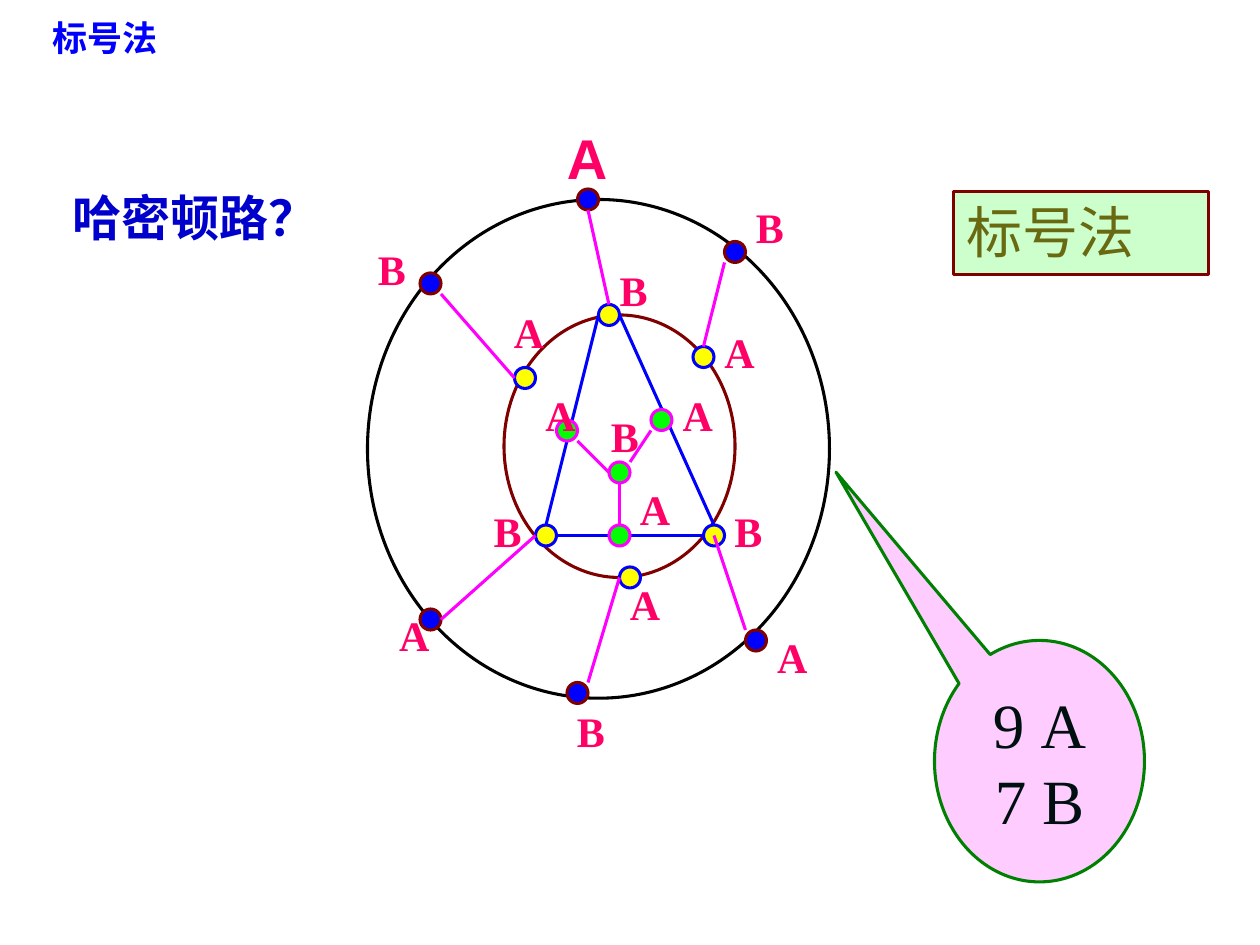
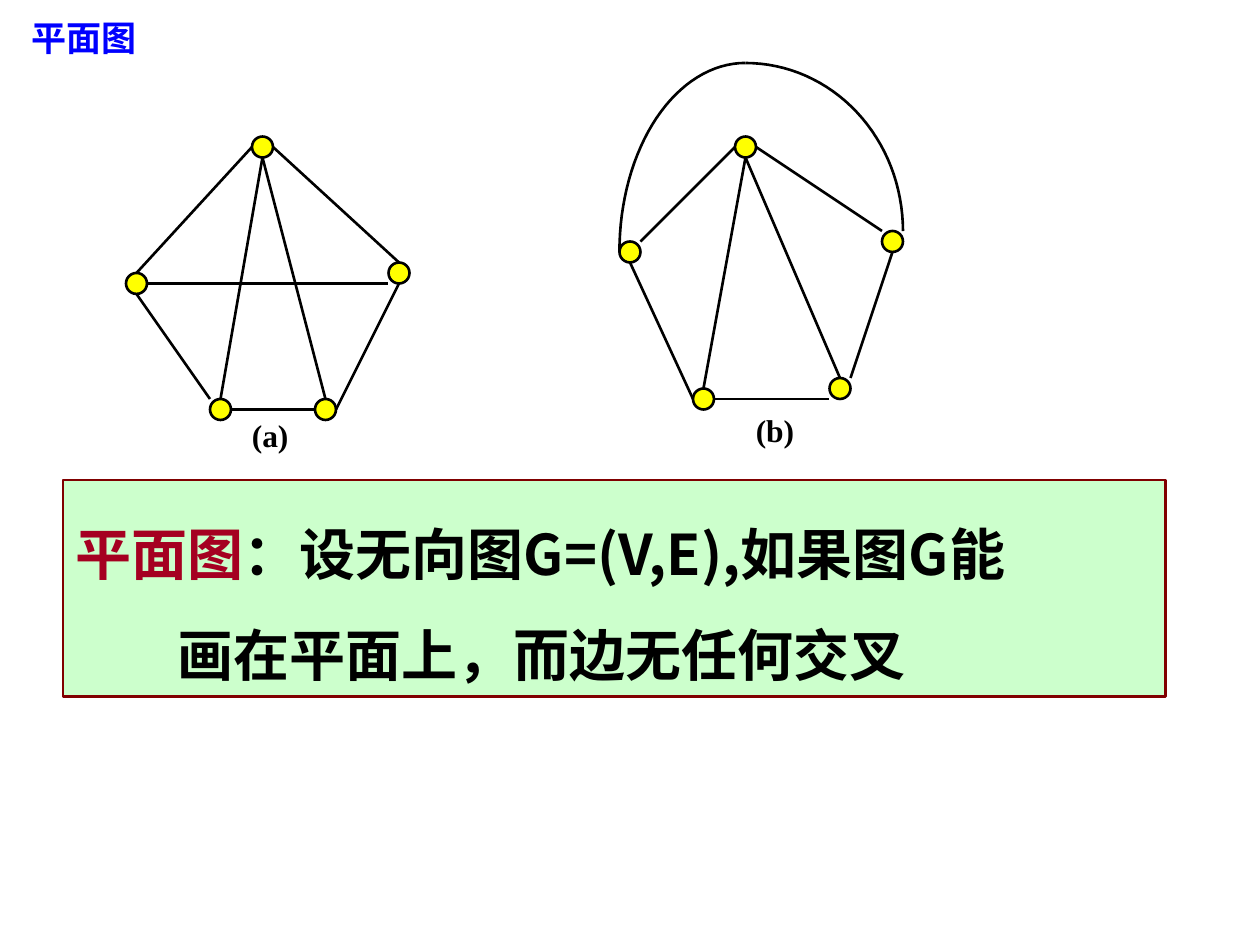
"""Build two slides on graph labelling and planar graphs."""
from dataclasses import dataclass
from math import cos, pi, sin

from lxml.etree import SubElement
from pptx import Presentation
from pptx.dml.color import RGBColor
from pptx.enum.shapes import MSO_CONNECTOR, MSO_SHAPE
from pptx.enum.text import MSO_ANCHOR, MSO_AUTO_SIZE, PP_ALIGN
from pptx.oxml.ns import qn
from pptx.util import Inches, Pt


@dataclass(frozen=True)
class Theme:
    black: str = "000000"
    blue: str = "0000FF"
    question: str = "0000CC"
    maroon: str = "800000"
    yellow: str = "FFFF00"
    green: str = "00FF00"
    magenta: str = "FF00FF"
    label: str = "FF0066"
    panel: str = "CCFFCC"
    olive: str = "696911"
    term: str = "A50021"
    callout: str = "FFCCFF"
    callout_line: str = "008000"
    callout_text: str = "001010"
    sans: str = "Arial"
    serif: str = "Times New Roman"
    chinese: str = "Noto Sans CJK SC"
    caption_size: int = 18
    title_size: int = 20
    label_size: int = 24
    question_size: int = 28
    heading_size: int = 32
    count_size: int = 36
    bold_line: float = 1.75
    thin_line: float = 1.5


THEME = Theme()
GRID = 1 / 12


def grid(*steps):
    return [Inches(step * GRID) for step in steps]


def set_values(target, values):
    for name, value in values.items():
        setattr(target, name, value)


def color(value):
    return RGBColor.from_string(value)


def style(size, name, tint, bold=True):
    return {"size": size, "name": name, "tint": tint, "bold": bold}


def add_span(para, text, look):
    span = para.add_run()
    span.text = text
    set_values(span.font, {"size": Pt(look["size"]), "name": look["name"], "bold": look["bold"]})
    span.font.color.rgb = color(look["tint"])
    SubElement(span._r.get_or_add_rPr(), qn("a:ea")).set("typeface", THEME.chinese)


def fill_text(box, lines, wrap=True, grow=True, **para_values):
    """Write each line, a list of (text, style) spans, as a paragraph."""
    frame = box.text_frame
    fit = MSO_AUTO_SIZE.SHAPE_TO_FIT_TEXT if grow else MSO_AUTO_SIZE.NONE
    set_values(frame, {"word_wrap": wrap, "auto_size": fit})
    for index, spans in enumerate(lines):
        para = frame.add_paragraph() if index else frame.paragraphs[0]
        set_values(para, para_values)
        for text, look in spans:
            add_span(para, text, look)
    return frame


def add_text(shapes, place, text, look, wrap=True):
    box = shapes.add_textbox(*map(Inches, place))
    fill_text(box, [[(text, look)]], wrap)


def paint(shape, fill, line, width):
    shape.shadow.inherit = False
    if fill:
        shape.fill.solid()
        shape.fill.fore_color.rgb = color(fill)
    else:
        shape.fill.background()
    shape.line.color.rgb = color(line)
    shape.line.width = Pt(width)
    return shape


def add_ring(shapes, place, line):
    ring = shapes.add_shape(MSO_SHAPE.OVAL, *grid(*place))
    paint(ring, None, line, THEME.bold_line)


def add_nodes(shapes, centers, fill, line, width):
    for x, y in centers:
        paint(shapes.add_shape(MSO_SHAPE.OVAL, *grid(x - 1, y - 1, 2, 2)), fill, line, width)


def add_edges(shapes, edges, line, width):
    for ends in edges:
        edge = shapes.add_connector(MSO_CONNECTOR.STRAIGHT, *grid(*ends))
        edge.line.color.rgb = color(line)
        edge.line.width = Pt(width)
        SubElement(edge._element.spPr, qn("a:effectLst"))


def add_quarter_arc(shapes, x, y, reach, rise):
    """Draw a quarter ellipse from above the centre to its side."""
    steps = 32
    angles = [pi / 2 * step / steps for step in range(steps + 1)]
    points = [tuple(grid(x + reach * sin(angle), y - rise * cos(angle))) for angle in angles]
    builder = shapes.build_freeform(*points[0])
    builder.add_line_segments(points[1:], close=False)
    paint(builder.convert_to_shape(), None, THEME.black, THEME.thin_line)


def add_panel(page, place, lines, width, **para_values):
    panel = page.shapes.add_shape(MSO_SHAPE.RECTANGLE, *map(Inches, place))
    paint(panel, THEME.panel, THEME.maroon, width)
    frame = fill_text(panel, lines, alignment=PP_ALIGN.LEFT, **para_values)
    frame.vertical_anchor = MSO_ANCHOR.TOP
    return frame


def add_count_callout(page):
    callout = page.shapes.add_shape(MSO_SHAPE.OVAL_CALLOUT, *grid(89, 61, 20, 23))
    callout.adjustments[0], callout.adjustments[1] = -0.969, -1.197
    paint(callout, THEME.callout, THEME.callout_line, THEME.bold_line)
    look = style(THEME.count_size, THEME.serif, THEME.callout_text, False)
    lines = [[("A", look)], [("7 B", look)]]
    frame = fill_text(callout, lines, grow=False, alignment=PP_ALIGN.CENTER)
    frame.vertical_anchor = MSO_ANCHOR.MIDDLE
    for para in frame.paragraphs:
        set_indents(para, {"marL": Inches(0.38), "indent": Inches(-0.38)})
    number = SubElement(frame.paragraphs[0]._p.get_or_add_pPr(), qn("a:buAutoNum"))
    number.set("type", "arabicPlain")
    number.set("startAt", "9")


def set_indents(para, values):
    for name, value in values.items():
        para._p.get_or_add_pPr().set(name, str(int(value)))


def add_page(deck, title, left):
    page = deck.slides.add_slide(deck.slide_layouts[6])
    look = style(THEME.title_size, THEME.chinese, THEME.blue)
    add_text(page.shapes, (left, 0.08, 2.68, 0.43), title, look)
    return page


def build_labelling(deck):
    page = add_page(deck, "标号法", 0.32)
    shapes = page.shapes
    width = THEME.bold_line
    outer = [(56, 19), (41, 27), (70, 24), (41, 59), (55, 66), (72, 61)]
    inner = [(58, 30), (50, 36), (67, 34), (52, 51), (60, 55), (68, 51)]
    core = [(59, 51), (54, 41), (63, 40), (59, 45)]
    triangle = [(57, 30, 52, 50), (59, 30, 68, 50), (53, 51, 67, 51)]
    spokes = [(55, 42, 58, 45), (60, 44, 62, 41), (59, 46, 59, 50),
              (42, 28, 49, 36), (56, 20, 58, 29), (67, 33, 69, 25),
              (42, 59, 51, 51), (56, 65, 59, 55), (71, 60, 68, 51)]
    add_ring(shapes, (35, 19, 44, 47.5), THEME.black)
    add_nodes(shapes, outer, THEME.blue, THEME.maroon, width)
    add_ring(shapes, (48, 30, 22, 25), THEME.maroon)
    add_nodes(shapes, inner, THEME.yellow, THEME.blue, width)
    add_edges(shapes, triangle, THEME.blue, width)
    add_nodes(shapes, core, THEME.green, THEME.magenta, width)
    add_edges(shapes, spokes, THEME.magenta, width)

    question = style(THEME.question_size, THEME.sans, THEME.question)
    add_text(shapes, (0.48, 1.44, 2.93, 0.57), "哈密顿路？", question)
    start = style(THEME.heading_size, THEME.sans, THEME.label)
    add_text(shapes, (4.4, 0.93, 0.52, 0.63), "A", start, wrap=False)
    labels = {
        "A": (0.44, [(3.07, 4.79), (3.98, 2.38), (5.65, 2.54), (6.07, 4.96),
                     (4.9, 4.54), (4.23, 3.04), (4.98, 3.79), (5.32, 3.04)]),
        "B": (0.42, [(2.9, 1.88), (5.9, 1.55), (4.82, 2.05), (4.48, 5.55),
                     (5.73, 3.96), (3.82, 3.96), (4.75, 3.21)]),
    }
    look = style(THEME.label_size, THEME.serif, THEME.label)
    for letter, (span, corners) in labels.items():
        for left, top in corners:
            add_text(shapes, (left, top, span, 0.5), letter, look, wrap=False)
    add_count_callout(page)
    method = style(THEME.heading_size, THEME.sans, THEME.olive, False)
    add_panel(page, (7.57, 1.52, 2.02, 0.66), [[("标号法", method)]], width)


def add_graph(shapes, nodes, edges, caption, place):
    add_nodes(shapes, nodes, THEME.yellow, THEME.black, THEME.thin_line)
    add_edges(shapes, edges, THEME.black, THEME.thin_line)
    look = style(THEME.caption_size, THEME.serif, THEME.black)
    add_text(shapes, place, caption, look, wrap=False)


def build_planar(deck):
    page = add_page(deck, "平面图", 0.15)
    crossed_nodes = [(25, 14), (13, 27), (21, 39), (31, 39), (38, 26)]
    crossed_edges = [(13, 26, 24, 14), (13, 28, 20, 38), (14, 27, 37, 27),
                     (22, 39, 30, 39), (32, 39, 38, 27), (26, 14, 38, 25),
                     (25, 15, 21, 38), (25, 15, 31, 38)]
    add_graph(page.shapes, crossed_nodes, crossed_edges, "(a)", (1.9, 3.25, 0.49, 0.4))

    term = style(THEME.heading_size, THEME.chinese, THEME.term)
    body = style(THEME.heading_size, THEME.chinese, THEME.black)
    lines = [[("平面图", term), ("：设无向图G=(V,E),如果图G能", body)],
             [("画在平面上，而边无任何交叉", body)]]
    frame = add_panel(page, (0.5, 3.81, 8.75, 1.72), lines, THEME.thin_line, line_spacing=1.5)
    set_indents(frame.paragraphs[1], {"marL": Inches(0.81), "indent": 0})

    planar = page.shapes.add_group_shape().shapes
    add_quarter_arc(planar, 71, 22, 15, 16)
    add_quarter_arc(planar, 71, 24, -12, 18)
    planar_nodes = [(71, 14), (60, 24), (67, 38), (80, 37), (85, 23)]
    planar_edges = [(61, 23, 70, 14), (60, 25, 66, 38), (68, 38, 79, 38),
                    (81, 36, 85, 24), (72, 14, 84, 22), (71, 15, 67, 37),
                    (71, 15, 80, 36)]
    add_graph(planar, planar_nodes, planar_edges, "(b)", (5.9, 3.21, 0.56, 0.4))


def main():
    deck = Presentation()
    set_values(deck, {"slide_width": Inches(10), "slide_height": Inches(7.5)})
    build_labelling(deck)
    build_planar(deck)
    deck.save("out.pptx")


if __name__ == "__main__":
    main()
